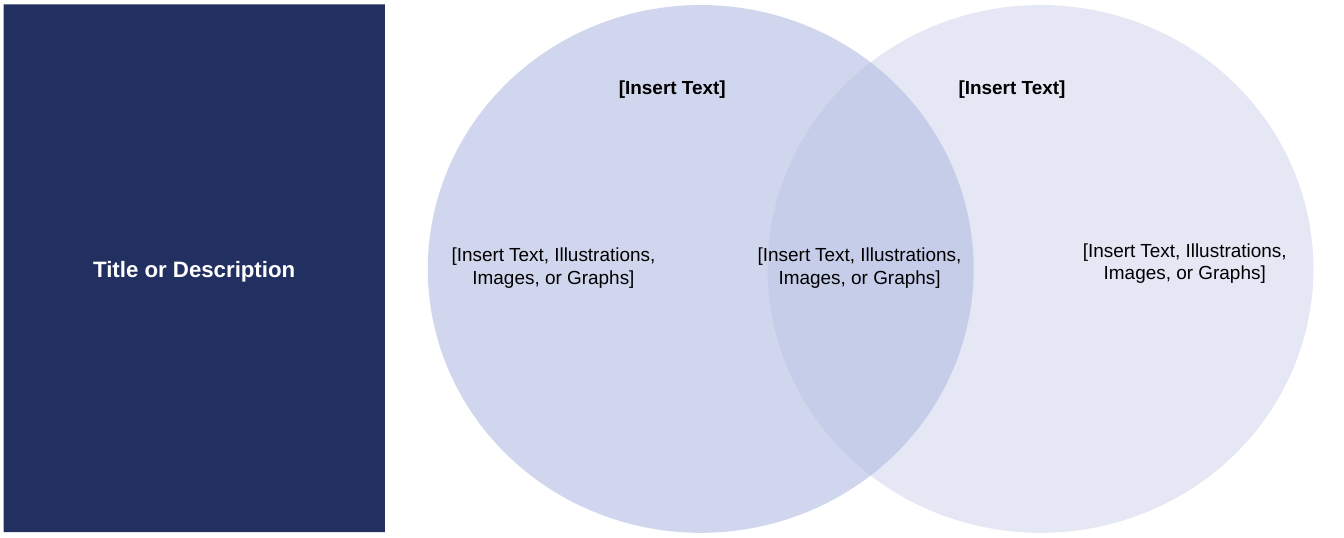
import pptx
import pptx.util
import pptx.dml.color
import pptx.enum.shapes
import pptx.enum.text
import pptx.oxml.ns
import lxml.etree

Pt = pptx.util.Pt
SHAPE = pptx.enum.shapes.MSO_SHAPE
ANCHOR = pptx.enum.text.MSO_ANCHOR

COLORS = {
    "panel": "223061",
    "left": "B2BCE2",
    "right": "D5D9EE",
    "text": "000000",
    "title": "FFFFFF",
}
FORMATS = {
    "title": {"name": "Arial", "size": Pt(22), "bold": True},
    "heading": {"name": "Arial", "size": Pt(18.7), "bold": True},
    "body": {"name": "Arial", "size": Pt(18.7), "bold": False},
}
HEADING = "[Insert Text]"
BODY = "[Insert Text, Illustrations, Images, or Graphs]"

# Venn layout in points
CIRCLE_TOP, CIRCLE_W, CIRCLE_H = 5, 539.3, 521.3
CIRCLE_X = {"left": 422.6, "right": 758.2}
HEADING_OFFSET = 126.75


def rgb(name):
    return pptx.dml.color.RGBColor.from_string(COLORS[name])


def write(sp, text, style, color="text", anchor=ANCHOR.TOP):
    """Put one centred, wrapped paragraph in a shape."""
    tf = sp.text_frame
    tf.word_wrap = True
    tf.vertical_anchor = anchor
    p = tf.paragraphs[0]
    p.alignment = pptx.enum.text.PP_ALIGN.CENTER
    r = p.add_run()
    r.text = text
    for key, value in FORMATS[style].items():
        setattr(r.font, key, value)
    r.font.color.rgb = rgb(color)


def add_filled(s, kind, box, color, opacity=100):
    """Add a borderless shape with a solid, possibly transparent fill."""
    sp = s.shapes.add_shape(kind, *map(Pt, box))
    sp.shadow.inherit = False
    sp.line.fill.background()
    sp.fill.solid()
    sp.fill.fore_color.rgb = rgb(color)
    if opacity < 100:
        clr = sp.fill._xPr.find(".//" + pptx.oxml.ns.qn("a:srgbClr"))
        alpha = lxml.etree.SubElement(clr, pptx.oxml.ns.qn("a:alpha"))
        alpha.set("val", str(opacity * 1000))
    return sp


def add_text(s, box, text, style):
    sp = s.shapes.add_textbox(*map(Pt, box))
    write(sp, text, style)
    sp.text_frame.auto_size = pptx.enum.text.MSO_AUTO_SIZE.SHAPE_TO_FIT_TEXT


def main():
    prs = pptx.Presentation()
    prs.slide_width, prs.slide_height = Pt(1327.68), Pt(531.36)
    s = prs.slides.add_slide(prs.slide_layouts[6])

    # Overlapping circles, left one in front
    for side in ("right", "left"):
        box = (CIRCLE_X[side], CIRCLE_TOP, CIRCLE_W, CIRCLE_H)
        add_filled(s, SHAPE.OVAL, box, side, 60)

    # Circle headings
    for x in CIRCLE_X.values():
        add_text(s, (x + HEADING_OFFSET, 70.6, 229.7, 30.2), HEADING, "heading")

    # Body text: right, left, overlap
    for x, y in ((1046.2, 231.8), (422.6, 236.2), (725, 236.2)):
        add_text(s, (x, y, 248.4, 52.6), BODY, "body")

    # Title panel
    panel = add_filled(s, SHAPE.RECTANGLE, (3.6, 4.3, 376.6, 521.3), "panel")
    write(panel, "Title or Description", "title", "title", ANCHOR.MIDDLE)

    prs.save("out.pptx")


main()
